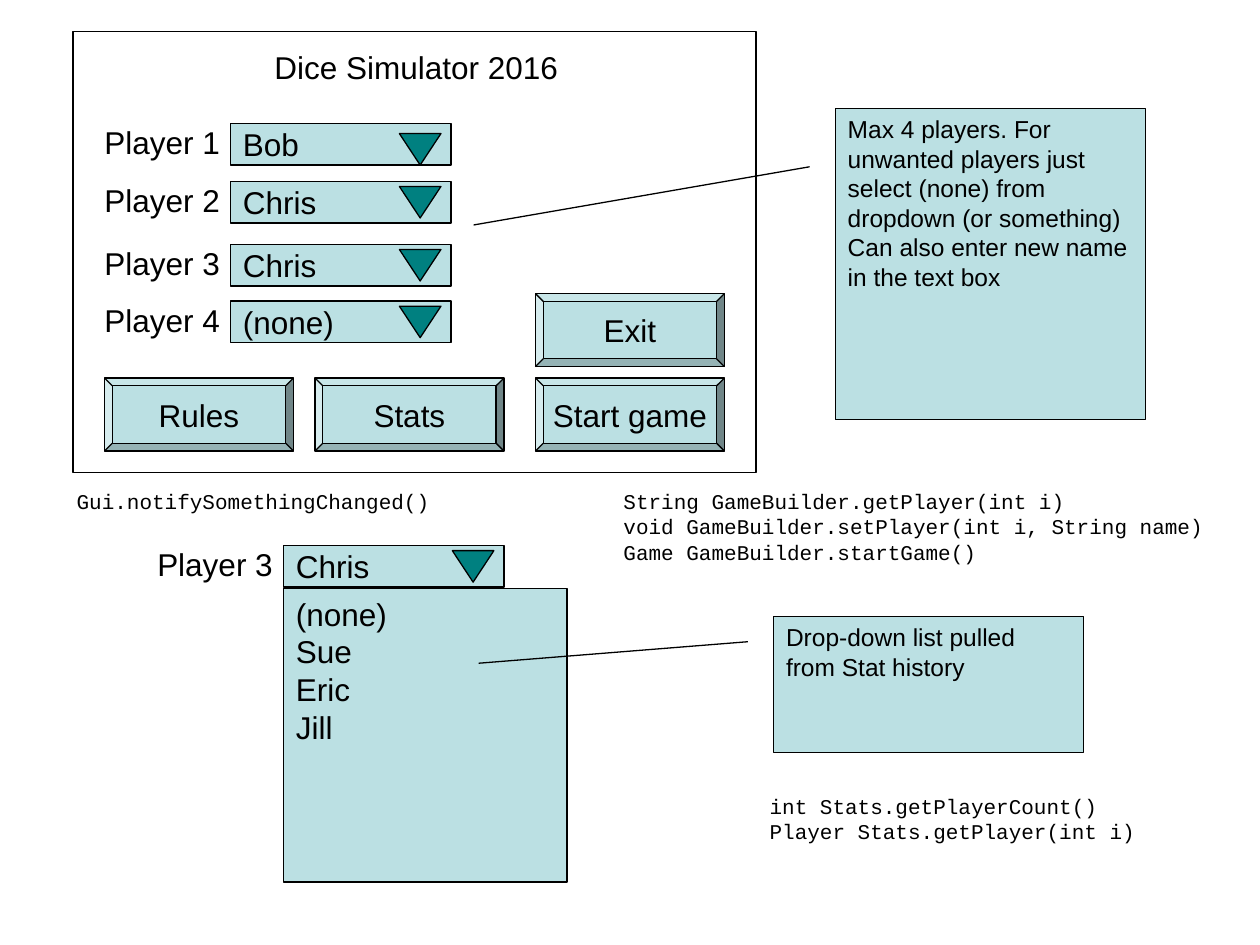
from dataclasses import dataclass

from pptx import Presentation
from pptx.dml.color import RGBColor
from pptx.enum.shapes import MSO_SHAPE
from pptx.enum.text import MSO_ANCHOR, MSO_AUTO_SIZE, PP_ALIGN
from pptx.util import Inches, Pt

BLACK = RGBColor(0x00, 0x00, 0x00)
PALE = RGBColor(0xBB, 0xE0, 0xE3)
TEAL = RGBColor(0x00, 0x80, 0x80)

RECT = MSO_SHAPE.RECTANGLE
BEVEL = MSO_SHAPE.BEVEL
ARROW = MSO_SHAPE.FLOWCHART_MERGE
CALLOUT = MSO_SHAPE.LINE_CALLOUT_1
LEFT, CENTER = PP_ALIGN.LEFT, PP_ALIGN.CENTER
TOP, MIDDLE = MSO_ANCHOR.TOP, MSO_ANCHOR.MIDDLE
GROW = MSO_AUTO_SIZE.SHAPE_TO_FIT_TEXT
SANS, MONO = "Arial", "Courier New"


@dataclass
class Picker:
    label: str
    name: str
    x: float
    y: float
    drop: float = 0.04  # arrow offset below the field's top


@dataclass
class Button:
    text: str
    x: float
    y: float


@dataclass
class Note:
    lines: list[str]
    box: tuple[float, float, float, float]
    tip: tuple[float, float]  # line end as shares of height and width


@dataclass
class Code:
    lines: list[str]
    x: float
    y: float
    w: float


PICKERS = [
    Picker("Player 1", "Bob", 1.83, 0.98, 0.08),
    Picker("Player 2", "Chris", 1.83, 1.44),
    Picker("Player 3", "Chris", 1.83, 1.94),
    Picker("Player 4", "(none)", 1.83, 2.39),
    Picker("Player 3", "Chris", 2.25, 4.33),
]
BUTTONS = [
    Button("Rules", 0.83, 3),
    Button("Stats", 2.5, 3),
    Button("Start game", 4.25, 3),
    Button("Exit", 4.25, 2.33),
]
NOTES = [
    Note(["Max 4 players. For unwanted players just select (none) from dropdown (or something)",
          "Can also enter new name in the text box"],
         (6.63, 0.86, 2.46, 2.47), (0.375, -1.167)),
    Note(["Drop-down list pulled from Stat history"],
         (6.14, 4.89, 2.46, 1.08), (0.346, -0.952)),
]
CODES = [
    Code(["int Stats.getPlayerCount()", "Player Stats.getPlayer(int i)"], 6.01, 6.25, 3.1),
    Code(["String GameBuilder.getPlayer(int i)",
          "void GameBuilder.setPlayer(int i, String name)",
          "Game GameBuilder.startGame()"], 4.85, 3.83, 4.8),
    Code(["Gui.notifySomethingChanged()"], 0.51, 3.83, 3),
]


def write(shape, lines: list[str], *, size: float = 18, font: str = SANS,
          align=LEFT, anchor=TOP, wrap: bool = True) -> None:
    frame = shape.text_frame
    frame.word_wrap = wrap
    frame.vertical_anchor = anchor
    for i, line in enumerate(lines):
        para = frame.add_paragraph() if i else frame.paragraphs[0]
        para.alignment = align
        run = para.add_run()
        run.text = line
        run.font.size = Pt(size)
        run.font.name = font
        run.font.color.rgb = BLACK


def draw(slide, kind, x: float, y: float, w: float, h: float,
         fill: RGBColor | None = PALE):
    shape = slide.shapes.add_shape(kind, Inches(x), Inches(y), Inches(w), Inches(h))
    shape.shadow.inherit = False
    if fill is None:
        shape.fill.background()
    else:
        shape.fill.solid()
        shape.fill.fore_color.rgb = fill
    shape.line.color.rgb = BLACK
    shape.line.width = Pt(0.75)
    return shape


def label(slide, lines: list[str], x: float, y: float, w: float, h: float,
          **style) -> None:
    box = slide.shapes.add_textbox(Inches(x), Inches(y), Inches(w), Inches(h))
    write(box, lines, wrap=False, **style)
    box.text_frame.auto_size = GROW


def add_picker(slide, item: Picker) -> None:
    field = draw(slide, RECT, item.x, item.y, 1.75, 0.33)
    write(field, [item.name], anchor=MIDDLE)
    # Slightly wider than the text, so that it stays on one line
    label(slide, [item.label], item.x - 1.1, item.y - 0.05, 1.14, 0.4)
    draw(slide, ARROW, item.x + 1.34, item.y + item.drop, 0.33, 0.25, TEAL)


def add_button(slide, item: Button) -> None:
    shape = draw(slide, BEVEL, item.x, item.y, 1.5, 0.58)
    shape.adjustments[0] = 0.107
    write(shape, [item.text], align=CENTER, anchor=MIDDLE, wrap=False)


def add_note(slide, item: Note) -> None:
    shape = draw(slide, CALLOUT, *item.box)
    for i, value in enumerate((0.188, -0.083, *item.tip)):
        shape.adjustments[i] = value
    write(shape, item.lines, size=14)


def main() -> None:
    deck = Presentation()
    deck.slide_width, deck.slide_height = Inches(10), Inches(7.5)
    slide = deck.slides.add_slide(deck.slide_layouts[6])

    # Game window
    draw(slide, RECT, 0.58, 0.25, 5.42, 3.5, None)
    label(slide, ["Dice Simulator 2016"], 2.08, 0.33, 2.46, 0.4)
    for item in PICKERS:
        add_picker(slide, item)
    for item in BUTTONS:
        add_button(slide, item)

    # Open list under the last picker
    menu = draw(slide, RECT, 2.25, 4.67, 2.25, 2.33)
    write(menu, ["(none)", "Sue", "Eric", "Jill"])

    # Remarks and method names
    for item in NOTES:
        add_note(slide, item)
    for item in CODES:
        label(slide, item.lines, item.x, item.y, item.w,
              0.1 + 0.2 * len(item.lines), size=12, font=MONO)

    deck.save("out.pptx")


if __name__ == "__main__":
    main()
